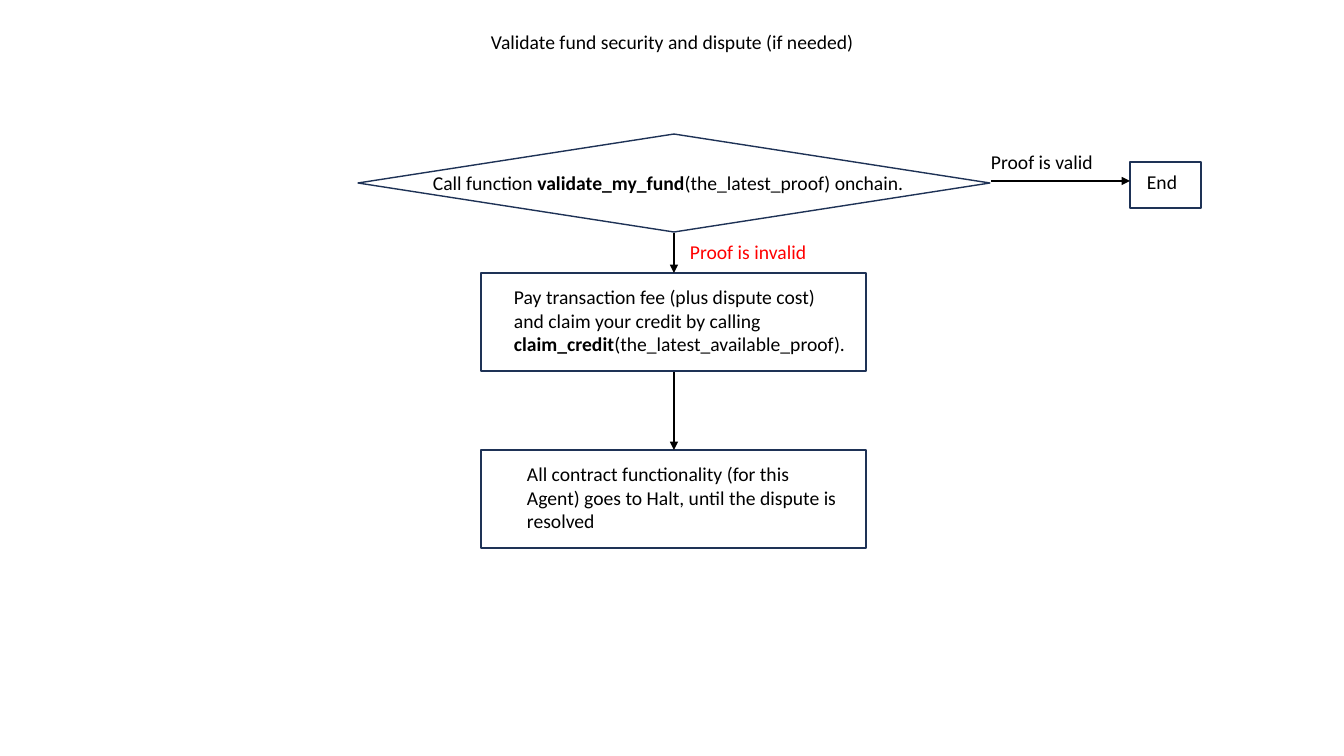
from pptx import Presentation
from pptx import util as u
from pptx.dml.color import RGBColor
from pptx.enum import shapes, text
from pptx.oxml.ns import qn
from lxml import etree

PX = 914400 / 100.8
BLACK = RGBColor(0, 0, 0)
RED = RGBColor(255, 0, 0)
NAVY = RGBColor(0x1E, 0x32, 0x56)
LEFT, MID = text.PP_ALIGN.LEFT, text.PP_ALIGN.CENTER
RECT, RHOMB = shapes.MSO_SHAPE.RECTANGLE, shapes.MSO_SHAPE.DIAMOND

nodes = {
    "check": (RHOMB, 358, 134, 632, 98),
    "end": (RECT, 1130, 162, 71, 46),
    "claim": (RECT, 481, 273, 385, 98),
    "halt": (RECT, 481, 450, 385, 98),
}

# Runs alternate between regular and bold.
labels = [
    (424, 25, 497, 34, MID, BLACK,
     [["Validate fund security and dispute (if needed)"]]),
    (423, 166, 497, 34, LEFT, BLACK,
     [["Call function ", "validate_my_fund", "(the_latest_proof) onchain."]]),
    (981, 145, 139, 34, LEFT, BLACK, [["Proof is valid"]]),
    (1137, 165, 139, 34, LEFT, BLACK, [["End"]]),
    (680, 235, 139, 34, LEFT, RED, [["Proof is invalid"]]),
    (504, 280, 370, 82, LEFT, BLACK,
     [["Pay transaction fee (plus dispute cost)"],
      ["and claim your credit by calling ", "claim_credit",
       "(the_latest_available_proof)."]]),
    (517, 457, 338, 82, LEFT, BLACK,
     [["All contract functionality (for this Agent) goes to Halt, "
       "until the dispute is resolved"]]),
]

arrows = [
    (991, 181, 1130, 181),
    (674, 233, 674, 273),
    (674, 372, 674, 450),
]


def emu(*vals):
    return [u.Emu(round(v * PX)) for v in vals]


def node(slide, kind, *box):
    shape = slide.shapes.add_shape(kind, *emu(*box))
    shape.shadow.inherit = False
    shape.fill.background()
    shape.line.color.rgb = NAVY
    shape.line.width = u.Pt(1)


def label(slide, x, y, w, h, align, color, paras):
    frame = slide.shapes.add_textbox(*emu(x, y, w, h)).text_frame
    frame.word_wrap = True
    for i, parts in enumerate(paras):
        para = frame.add_paragraph() if i else frame.paragraphs[0]
        para.alignment = align
        para.font.name = "Calibri"
        para.font.size = u.Pt(14)
        para.font.color.rgb = color
        for j, part in enumerate(parts):
            run = para.add_run()
            run.text = part
            if j % 2:
                run.font.bold = True


def arrow(slide, *ends):
    line = slide.shapes.add_connector(
        shapes.MSO_CONNECTOR.STRAIGHT, *emu(*ends))
    line.line.color.rgb = BLACK
    line.line.width = u.Pt(2)
    etree.SubElement(line.line._get_or_add_ln(), qn("a:tailEnd"),
                     type="triangle")
    etree.SubElement(line._element.spPr, qn("a:effectLst"))


def main():
    deck = Presentation()
    deck.slide_width, deck.slide_height = emu(1344, 756)
    slide = deck.slides.add_slide(deck.slide_layouts[6])
    for spec in nodes.values():
        node(slide, *spec)
    for ends in arrows:
        arrow(slide, *ends)
    for item in labels:
        label(slide, *item)
    deck.save("out.pptx")


if __name__ == "__main__":
    main()
